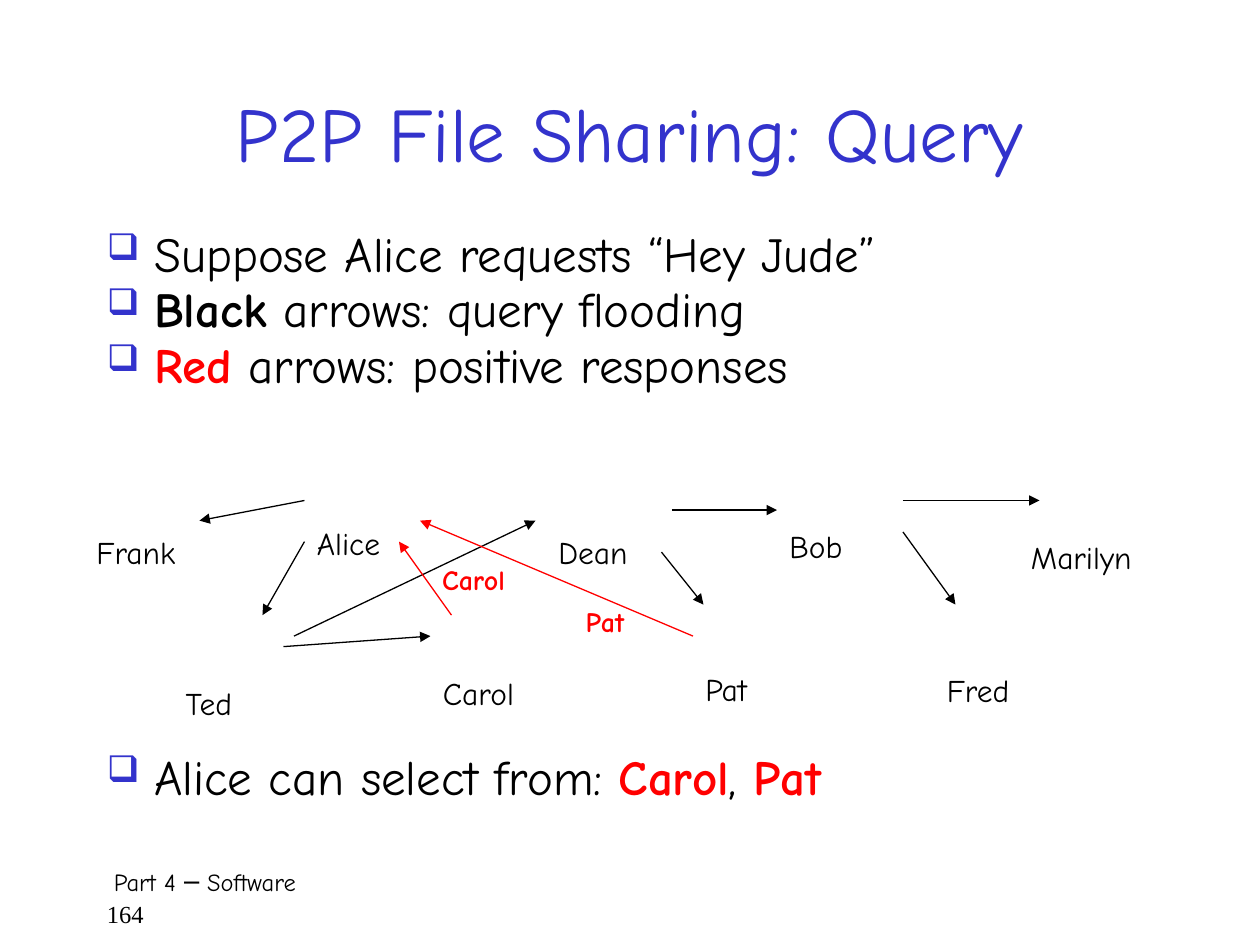
from lxml import etree
from pptx import Presentation
from pptx.dml.color import RGBColor
from pptx.enum.shapes import MSO_CONNECTOR
from pptx.enum.text import MSO_ANCHOR, MSO_AUTO_SIZE, PP_ALIGN
from pptx.oxml.ns import qn
from pptx.util import Pt

STRAIGHT = MSO_CONNECTOR.STRAIGHT
MIDDLE, TOP = MSO_ANCHOR.MIDDLE, MSO_ANCHOR.TOP
CENTER, LEFT = PP_ALIGN.CENTER, PP_ALIGN.LEFT
GROW, FIXED = MSO_AUTO_SIZE.SHAPE_TO_FIT_TEXT, MSO_AUTO_SIZE.NONE

THEME = {
    "font": "Comic Neue", "number_font": "Times New Roman",
    "blue": "3333CC", "black": "000000", "red": "FF0000",
    "title": 44, "body": 28, "peer": 18, "reply": 16, "footer": 14,
    "line": 0.75,
}

# Content: a run is (text, style), with style "plain", "bold" or "red"
TITLE = "P2P File Sharing: Query"
POINTS = [
    [("Suppose Alice requests “Hey Jude”", "plain")],
    [("Black", "bold"), (" arrows: query flooding", "plain")],
    [("Red", "red"), (" arrows: positive responses", "plain")],
]
CONCLUSION = [[("Alice can select from: ", "plain"), ("Carol", "red"),
               (", ", "plain"), ("Pat", "red")]]
FOOTER, PAGE_NUMBER = "Part 4 ─ Software", "164"

# Labels: (name, left, top, width)
PEERS = [
    ("Frank", 48, 301, 62.5), ("Ted", 99, 387.5, 47),
    ("Carol", 246, 381.5, 57.5), ("Pat", 396, 379.5, 42),
    ("Marilyn", 582, 304, 77), ("Bob", 444, 297.5, 46),
    ("Alice", 174, 296, 57), ("Dean", 312, 301, 56),
    ("Fred", 534, 380, 55),
]
REPLIES = [("Carol", 245.5, 318, 54), ("Pat", 327.5, 342, 39.5)]

# Arrows: (from x, from y, to x, to y)
QUERY_ARROWS = [
    (174, 286, 114, 297.5), (174, 309.5, 150, 351.5),
    (162, 369.5, 246, 363.5), (168, 363.5, 306, 297.5),
    (384, 291.5, 444, 291.5), (378, 315.5, 402, 345.5),
    (516, 286, 594, 286), (516, 304, 546, 345.5),
]
REPLY_ARROWS = [(396, 363.5, 240, 297.5), (258, 351.5, 228, 309.5)]

STYLES = {"plain": ("black", False), "bold": ("black", True),
          "red": ("red", True)}


def color(name):
    return RGBColor.from_string(THEME[name])


def add_box(slide, left, top, width, height, wrap=True, anchor=TOP):
    box = slide.shapes.add_textbox(Pt(left), Pt(top), Pt(width), Pt(height))
    frame = box.text_frame
    settings = {"word_wrap": wrap, "vertical_anchor": anchor,
                "auto_size": FIXED if wrap else GROW}
    for name, value in settings.items():
        setattr(frame, name, value)
    return frame


def add_run(paragraph, text, size, color_name="black", bold=False,
            font="font"):
    run = paragraph.add_run()
    run.text = text
    settings = {"size": Pt(THEME[size]), "bold": bold, "name": THEME[font]}
    for name, value in settings.items():
        setattr(run.font, name, value)
    run.font.color.rgb = color(color_name)


def add_bullet(paragraph):
    props = paragraph._p.get_or_add_pPr()
    props.set("marL", str(Pt(27)))
    props.set("indent", str(Pt(-27)))
    bullet_color = etree.SubElement(props, qn("a:buClr"))
    etree.SubElement(bullet_color, qn("a:srgbClr"), val=THEME["blue"])
    etree.SubElement(props, qn("a:buSzPct"), val="75000")
    etree.SubElement(props, qn("a:buChar"), char="❑")


def add_points(frame, points, spacing):
    for i, runs in enumerate(points):
        paragraph = frame.add_paragraph() if i else frame.paragraphs[0]
        add_bullet(paragraph)
        paragraph.line_spacing = spacing
        if i:
            paragraph.space_before = Pt(6.4)
        for text, style in runs:
            add_run(paragraph, text, "body", *STYLES[style])


def add_labels(slide, labels, height, *run_format):
    for name, left, top, width in labels:
        frame = add_box(slide, left, top, width, height, wrap=False)
        add_run(frame.paragraphs[0], name, *run_format)


def add_arrows(slide, arrows, color_name):
    for ends in arrows:
        arrow = slide.shapes.add_connector(STRAIGHT, *map(Pt, ends))
        arrow.line.color.rgb = color(color_name)
        arrow.line.width = Pt(THEME["line"])
        etree.SubElement(arrow.line._get_or_add_ln(), qn("a:tailEnd"),
                         type="triangle")
        etree.SubElement(arrow._element.spPr, qn("a:effectLst"))


def main():
    deck = Presentation()
    deck.slide_width, deck.slide_height = Pt(720), Pt(540)
    slide = deck.slides.add_slide(deck.slide_layouts[6])

    # Title
    title = add_box(slide, 54, 42, 612, 66, anchor=MIDDLE).paragraphs[0]
    title.alignment = CENTER
    add_run(title, TITLE, "title", "blue")

    # Bullet points above and below the network
    add_points(add_box(slide, 54, 132, 618, 108), POINTS, 0.75)
    add_points(add_box(slide, 54, 432, 612, 36), CONCLUSION, 0.7)

    # Peer network
    add_labels(slide, PEERS, 32.5, "peer")
    add_arrows(slide, QUERY_ARROWS, "black")
    add_arrows(slide, REPLY_ARROWS, "red")
    add_labels(slide, REPLIES, 29.5, "reply", "red", True)

    # Footer with the page number on its own line
    footer = add_box(slide, 54, 492, 618, 36)
    part = footer.paragraphs[0]
    part._p.get_or_add_pPr().set("marL", str(Pt(4)))
    part.alignment = LEFT
    add_run(part, FOOTER, "footer")
    number = footer.add_paragraph()
    number.space_before = Pt(1.5)
    add_run(number, PAGE_NUMBER, "footer", font="number_font")

    deck.save("out.pptx")


if __name__ == "__main__":
    main()
